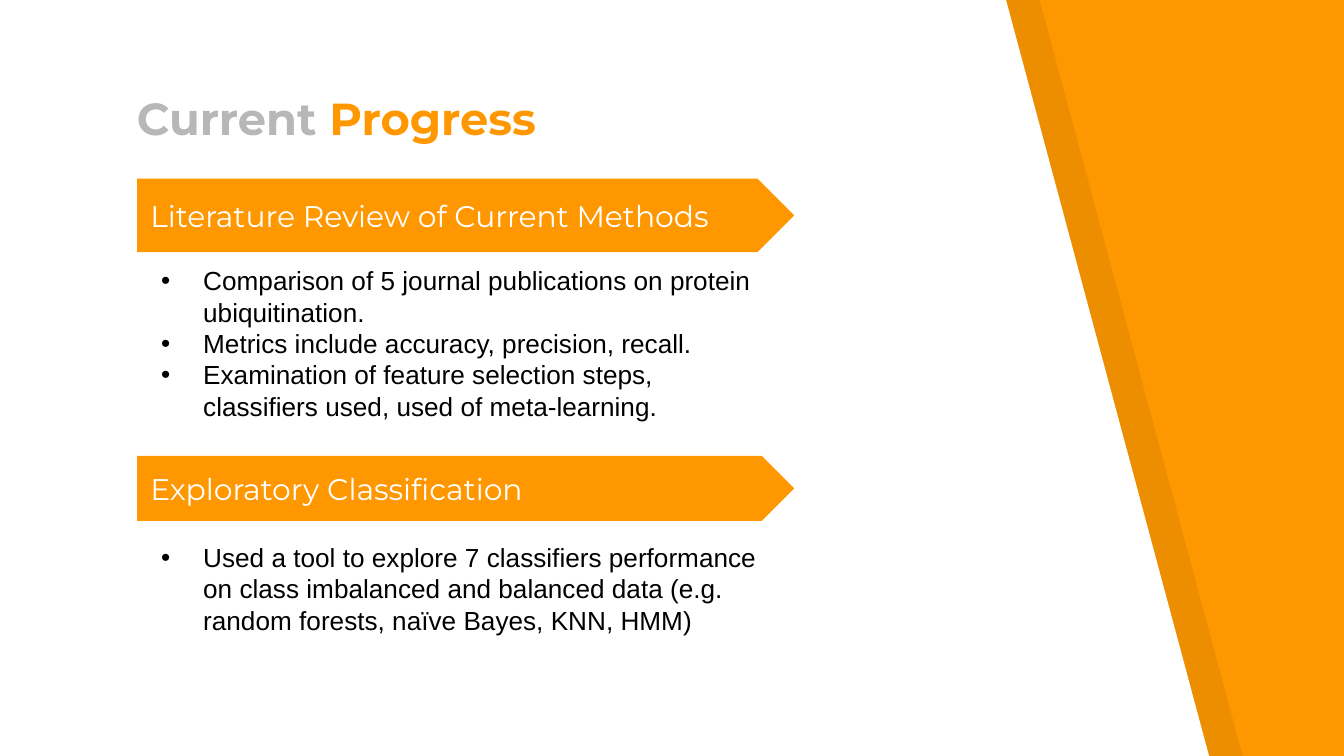
from lxml import etree
from pptx import Presentation
from pptx.dml.color import RGBColor
from pptx.enum import shapes, text
from pptx.oxml import ns
from pptx.util import Pt

ORANGE = RGBColor(0xFF, 0x98, 0x00)
GRAY = RGBColor(0xB7, 0xB7, 0xB7)
WHITE = RGBColor(0xFF, 0xFF, 0xFF)
BLACK = RGBColor(0x00, 0x00, 0x00)

HEADING_FONT = "Montserrat"
BODY_FONT = "Arial"
INDENT = Pt(22.5)

SECTIONS = [
    ((73.5, 95.75, 352, 39.25), 42.5, 92, "Literature Review of Current Methods", [
        "Comparison of 5 journal publications on protein ubiquitination.",
        "Metrics include accuracy, precision, recall.",
        "Examination of feature selection steps, classifiers used, used of meta-learning.",
    ]),
    ((73.5, 244.25, 352, 34.75), 42.25, 75, "Exploratory Classification", [
        "Used a tool to explore 7 classifiers performance on class imbalanced and "
        "balanced data (e.g. random forests, naïve Bayes, KNN, HMM)",
    ]),
]


def style_font(font, name, size, color, bold=False):
    font.name = name
    font.size = Pt(size)
    font.bold = bold
    font.color.rgb = color


def add_slanted_panel(slide, left, top, width, height, color, alpha=100):
    bottom, right = top + height, left + width
    builder = slide.shapes.build_freeform(left, top, scale=Pt(1))
    builder.add_line_segments([(left, bottom), (right, bottom), (right - 108.75, 0)])
    panel = builder.convert_to_shape()
    panel.shadow.inherit = False
    panel.line.fill.background()
    panel.fill.solid()
    panel.fill.fore_color.rgb = color
    if alpha < 100:
        rgb = panel.fill._xPr.find(".//" + ns.qn("a:srgbClr"))
        etree.SubElement(rgb, ns.qn("a:alpha")).set("val", str(alpha * 1000))


def add_title(slide, left, top, width, height, words):
    frame = slide.shapes.add_textbox(Pt(left), Pt(top), Pt(width), Pt(height)).text_frame
    frame.word_wrap = True
    frame.vertical_anchor = text.MSO_ANCHOR.BOTTOM
    frame.margin_left = frame.margin_right = Pt(7.2)
    frame.margin_top = frame.margin_bottom = Pt(7.2)
    for word, color in words:
        run = frame.paragraphs[0].add_run()
        run.text = word
        style_font(run.font, HEADING_FONT, 24, color, bold=True)


def add_banner(slide, left, top, width, height, heading):
    banner = slide.shapes.add_shape(
        shapes.MSO_SHAPE.PENTAGON, Pt(left), Pt(top), Pt(width), Pt(height))
    banner.shadow.inherit = False
    banner.fill.solid()
    banner.fill.fore_color.rgb = ORANGE
    banner.line.fill.background()
    frame = banner.text_frame
    frame.word_wrap = True
    frame.vertical_anchor = text.MSO_ANCHOR.MIDDLE
    frame.text = heading
    paragraph = frame.paragraphs[0]
    paragraph.alignment = text.PP_ALIGN.LEFT
    style_font(paragraph.font, HEADING_FONT, 16, WHITE)


def add_bullets(slide, left, top, width, height, points):
    frame = slide.shapes.add_textbox(Pt(left), Pt(top), Pt(width), Pt(height)).text_frame
    frame.word_wrap = True
    frame.text = "\n".join(points)
    for paragraph in frame.paragraphs:
        style_font(paragraph.font, BODY_FONT, 14, BLACK)
        properties = paragraph._p.get_or_add_pPr()
        properties.set("marL", str(INDENT))
        properties.set("indent", str(-INDENT))
        bullet_font = etree.Element(ns.qn("a:buFont"), typeface=BODY_FONT)
        bullet = etree.Element(ns.qn("a:buChar"), char="•")
        properties.insert(0, bullet_font)
        properties.insert(1, bullet)


def add_section(slide, box, list_offset, list_height, heading, points):
    left, top, width, height = box
    add_banner(slide, left, top, width, height, heading)
    add_bullets(slide, left + 5.75, top + list_offset, width - 18, list_height, points)


def main():
    deck = Presentation()
    deck.slide_width, deck.slide_height = Pt(720), Pt(405)
    slide = deck.slides.add_slide(deck.slide_layouts[6])
    slide.background.fill.solid()
    slide.background.fill.fore_color.rgb = ORANGE
    add_slanted_panel(slide, 18, -0.75, 648, 406.5, BLACK, alpha=7)
    add_slanted_panel(slide, 0, -0.75, 648, 406.5, WHITE)
    add_title(slide, 66.25, 52, 378, 32.5, [("Current ", GRAY), ("Progress", ORANGE)])
    for section in SECTIONS:
        add_section(slide, *section)
    deck.save("out.pptx")


if __name__ == "__main__":
    main()
